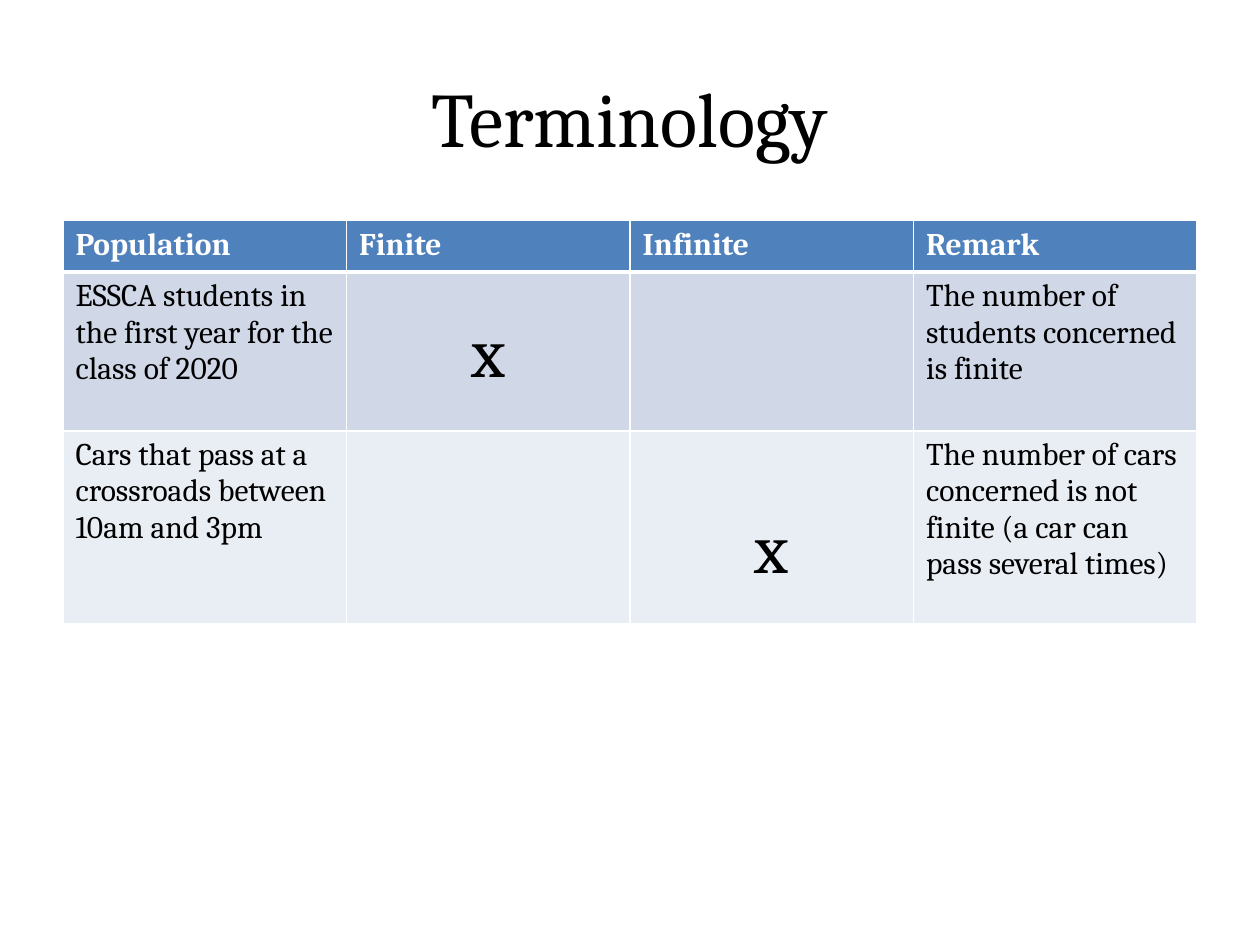
from lxml.etree import SubElement
from pptx import Presentation
from pptx.dml.color import RGBColor
from pptx.enum.text import MSO_ANCHOR, PP_ALIGN
from pptx.oxml.ns import qn
from pptx.util import Inches, Pt

TITLE = "Terminology"
MARK = "x"
ROWS = [
    ("Population", "Finite", "Infinite", "Remark"),
    ("ESSCA students in the first year for the class of 2020", MARK, "",
     "The number of students concerned is finite"),
    ("Cars that pass at a crossroads between 10am and 3pm", "", MARK,
     "The number of cars concerned is not finite (a car can pass several times)"),
]
ROW_HEIGHTS = (0.41, 1.26, 1.53)
MARK_TOPS = (0, 0.34, 0.63)
COLUMN_WIDTH = 2.25
FONT = "Cambria"
COLORS = {"text": "000000", "white": "FFFFFF"}
ROW_FILLS = ("4F81BD", "D0D8E8", "E9EDF4")


def style_text(paragraph, size, color, bold=False):
    for run in paragraph.runs:
        run.font.name = FONT
        run.font.size = Pt(size)
        run.font.bold = bold
        run.font.color.rgb = RGBColor.from_string(color)


def add_borders(cell, bottom_width):
    """Draw white cell borders; call before the fill, as the schema orders them."""
    properties = cell._tc.get_or_add_tcPr()
    for side, width in (("L", 1), ("R", 1), ("T", 1), ("B", bottom_width)):
        line = SubElement(properties, qn(f"a:ln{side}"), w=str(Pt(width)))
        fill = SubElement(line, qn("a:solidFill"))
        SubElement(fill, qn("a:srgbClr"), val=COLORS["white"])


def add_title(slide):
    title = slide.shapes.title
    title.left, title.top = Inches(0.5), Inches(0.3)
    title.width, title.height = Inches(9), Inches(1.25)
    title.text_frame.text = TITLE
    title.text_frame.vertical_anchor = MSO_ANCHOR.MIDDLE
    paragraph = title.text_frame.paragraphs[0]
    paragraph.alignment = PP_ALIGN.CENTER
    style_text(paragraph, 44, COLORS["text"])


def fill_cell(cell, text, row):
    is_header = row == 0
    add_borders(cell, 3 if is_header else 1)
    cell.fill.solid()
    cell.fill.fore_color.rgb = RGBColor.from_string(ROW_FILLS[row])
    if not text:
        return
    cell.text_frame.text = text
    paragraph = cell.text_frame.paragraphs[0]
    if text == MARK:
        cell.margin_top = Inches(MARK_TOPS[row])
        paragraph.alignment = PP_ALIGN.CENTER
    style_text(paragraph, 40 if text == MARK else 18,
               COLORS["white" if is_header else "text"], is_header)


def add_population_table(slide):
    columns = len(ROWS[0])
    table = slide.shapes.add_table(
        len(ROWS), columns, Inches(0.5), Inches(1.75),
        Inches(columns * COLUMN_WIDTH), Inches(sum(ROW_HEIGHTS))).table
    for row, (texts, height) in enumerate(zip(ROWS, ROW_HEIGHTS)):
        table.rows[row].height = Inches(height)
        for column, text in enumerate(texts):
            fill_cell(table.cell(row, column), text, row)


def main():
    presentation = Presentation()
    presentation.slide_width, presentation.slide_height = Inches(10), Inches(7.5)
    slide = presentation.slides.add_slide(presentation.slide_layouts[5])
    add_title(slide)
    add_population_table(slide)
    presentation.save("out.pptx")


if __name__ == "__main__":
    main()
